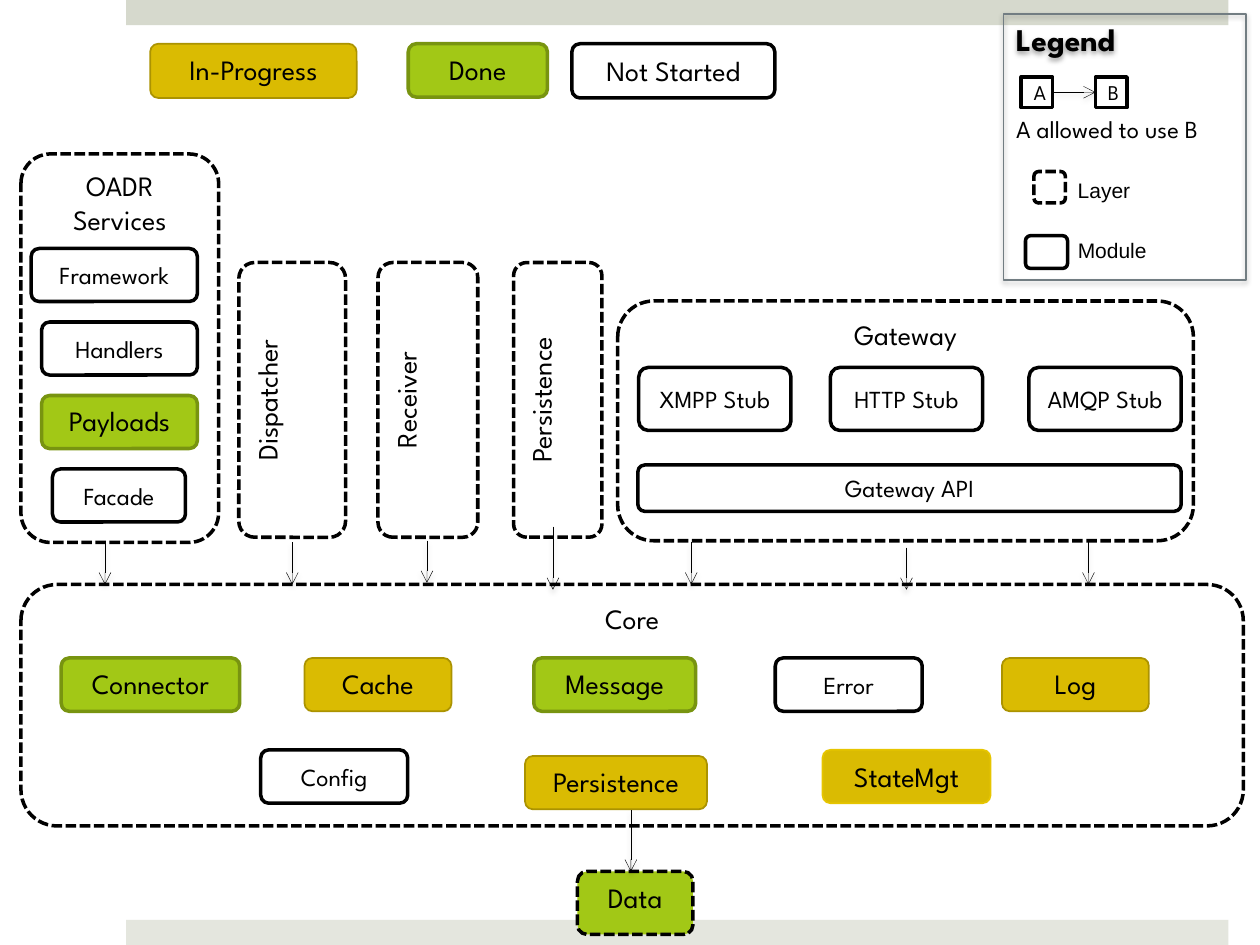
from lxml.etree import SubElement
from pptx import Presentation
from pptx.dml.color import RGBColor
from pptx.enum.dml import MSO_LINE
from pptx.enum.shapes import MSO_CONNECTOR, MSO_SHAPE
from pptx.enum.text import MSO_ANCHOR, MSO_AUTO_SIZE, PP_ALIGN
from pptx.oxml.ns import qn
from pptx.util import Pt

FONT = "League Spartan"
DONE = ("A2C816", "789410", 2)
BUSY = ("DABB02", "AB9301", 1)
STATE = ("DABB02", "E6C500", 1)
OPEN = ("FFFFFF", "000000", 2)


def color(code):
    return RGBColor.from_string(code)


def shade(shape, blur, gap, alpha):
    effects = SubElement(shape._element.spPr, qn("a:effectLst"))
    outer = SubElement(effects, qn("a:outerShdw"), blurRad=str(Pt(blur)),
                       dist=str(Pt(gap)), dir="5400000", rotWithShape="0")
    tint = SubElement(outer, qn("a:srgbClr"), val="000000")
    SubElement(tint, qn("a:alpha"), val=str(alpha * 1000))


def write(shape, lines, size, align=PP_ALIGN.CENTER, font=FONT, bold=False):
    frame = shape.text_frame
    for i, line in enumerate(lines):
        para = frame.add_paragraph() if i else frame.paragraphs[0]
        para.alignment = align
        run = para.add_run()
        run.text = line
        run.font.name = font
        run.font.size = Pt(size)
        run.font.bold = bold
        run.font.color.rgb = color("000000")


def panel(slide, box, style, kind=MSO_SHAPE.ROUNDED_RECTANGLE, dash=False,
          anchor=MSO_ANCHOR.TOP):
    shape = slide.shapes.add_shape(kind, *map(Pt, box))
    fill, edge, width = style
    if fill:
        shape.fill.solid()
        shape.fill.fore_color.rgb = color(fill)
    else:
        shape.fill.background()
    if edge:
        shape.line.color.rgb = color(edge)
        shape.line.width = Pt(width)
    else:
        shape.line.fill.background()
    if dash:
        shape.line.dash_style = MSO_LINE.SQUARE_DOT
    if kind == MSO_SHAPE.ROUNDED_RECTANGLE:
        shape.adjustments[0] = 0.15
    shape.text_frame.vertical_anchor = anchor
    shape.text_frame.word_wrap = True
    if fill is not None:
        shape.shadow.inherit = False
    return shape


def module(slide, box, name, style=OPEN, size=None):
    anchor = MSO_ANCHOR.MIDDLE if style in (OPEN, STATE) else MSO_ANCHOR.TOP
    shape = panel(slide, box, style, anchor=anchor)
    if name:
        write(shape, [name], size or (14 if style == OPEN else 16))
    return shape


def layer(slide, box, *lines, style=OPEN):
    shape = panel(slide, box, style, dash=True)
    if lines:
        write(shape, lines, 16)
    return shape


def column(slide, box, name):
    x, y, w, h = box
    shape = layer(slide, (x + (w - h) / 2, y + (h - w) / 2, h, w), name)
    shape.rotation = 270


def arrow(slide, x1, y1, x2, y2):
    line = slide.shapes.add_connector(MSO_CONNECTOR.STRAIGHT, *map(Pt, (x1, y1, x2, y2)))
    line.line.color.rgb = color("000000")
    line.line.width = Pt(0.25)
    SubElement(line.line._get_or_add_ln(), qn("a:tailEnd"), type="arrow")
    shade(line, 3.1, 1.8, 35)
    return line


def label(slide, box, text, size, font):
    shape = slide.shapes.add_textbox(*map(Pt, box))
    shape.text_frame.word_wrap = False
    shape.text_frame.auto_size = MSO_AUTO_SIZE.SHAPE_TO_FIT_TEXT
    write(shape, [text], size, PP_ALIGN.LEFT, font)


def bands(slide, x, w):
    for y, fill in ((0, "D6D9CD"), (525.6, "E4E6DE")):
        panel(slide, (x, y, w, 14.4), (fill, None, 0), MSO_SHAPE.RECTANGLE)


def status(slide, x, y):
    module(slide, (x, y, 118, 31), "In-Progress", BUSY)
    module(slide, (x + 147.5, y, 79.5, 30.5), "Done", DONE)
    module(slide, (x + 241, y, 116, 31), "Not Started", OPEN, 16)


def legend(slide, x, y, w, h):
    frame = panel(slide, (x, y, w, h), (None, "727D82", 0.75), MSO_SHAPE.RECTANGLE)
    shade(frame, 3.1, 1.6, 38)
    write(frame, ["Legend"], 18, PP_ALIGN.LEFT, bold=True)
    ends = []
    for name, dx in (("A", 10), ("B", 52.5)):
        box = panel(slide, (x + dx, y + 36, 18, 17.5), OPEN,
                    MSO_SHAPE.RECTANGLE, anchor=MSO_ANCHOR.MIDDLE)
        write(box, [name], 12, PP_ALIGN.LEFT)
        ends.append(box)
    line = arrow(slide, x + 28, y + 44.75, x + 52.5, y + 44.75)
    line.begin_connect(ends[0], 3)
    line.end_connect(ends[1], 1)
    label(slide, (x, y + 53.5, 121, 24.5), "A allowed to use B", 14, FONT)
    layer(slide, (x + 17.3, y + 90, 18, 18))
    label(slide, (x + 35.3, y + 90, 44.5, 21.5), "Layer", 12, "Arial")
    module(slide, (x + 12.5, y + 126.7, 24, 18.7), "")
    label(slide, (x + 35.3, y + 124, 54, 21.5), "Module", 12, "Arial")


def service(slide, x, y, w, h):
    layer(slide, (x, y, w, h), "OADR", "Services")
    parts = (("Framework", 5.8, 95, OPEN), ("Handlers", 11.8, 89, OPEN),
             ("Payloads", 11.8, 89, DONE), ("Facade", 18, 76, OPEN))
    for i, (name, dx, wide, style) in enumerate(parts):
        module(slide, (x + dx, y + 54 + 42 * i, wide, 30.3), name, style)


def gateway(slide, x, y, w, h):
    layer(slide, (x, y, w, h), "Gateway")
    for name, dx in (("XMPP Stub", 12), ("HTTP Stub", 121.5), ("AMQP Stub", 235)):
        module(slide, (x + dx, y + 38, 87, 36), name)
    module(slide, (x + 11.5, y + 93.7, 310.5, 26.5), "Gateway API")


def core(slide, x, y, w, h):
    layer(slide, (x, y, w, h), "Core")
    parts = (("Connector", 23, 42, 102, DONE), ("Cache", 162, 42, 84, BUSY),
             ("Message", 293, 42, 92.5, DONE), ("Error", 431, 42, 84, OPEN),
             ("Log", 560.5, 42, 84, BUSY), ("Config", 137, 94.5, 84, OPEN),
             ("Persistence", 288, 98, 104, BUSY), ("StateMgt", 458, 94.5, 96, STATE))
    for name, dx, dy, wide, style in parts:
        module(slide, (x + dx, y + dy, wide, 30.5), name, style)


def main():
    deck = Presentation()
    deck.slide_width, deck.slide_height = Pt(720), Pt(540)
    slide = deck.slides.add_slide(deck.slide_layouts[6])
    bands(slide, 72, 630)
    status(slide, 85.8, 25)
    core(slide, 12, 334, 698.5, 138)
    service(slide, 12, 88, 113, 222)
    for name, x, w in (("Dispatcher", 136.5, 61), ("Receiver", 216, 57),
                       ("Persistence", 293.5, 50.5)):
        column(slide, (x, 150, w, 157), name)
    gateway(slide, 353, 172, 329, 137)
    layer(slide, (330, 498, 66, 36), "Data", style=("A2C816", "000000", 2))
    for x, y, end in ((60, 310, 334), (167, 310, 334), (244, 309, 333),
                      (316, 301, 337), (395, 310, 334), (518, 313, 337),
                      (622, 310, 334), (360.5, 463, 498)):
        arrow(slide, x, y, x, end)
    legend(slide, 573.5, 8, 138.5, 152)
    deck.save("out.pptx")


if __name__ == "__main__":
    main()
